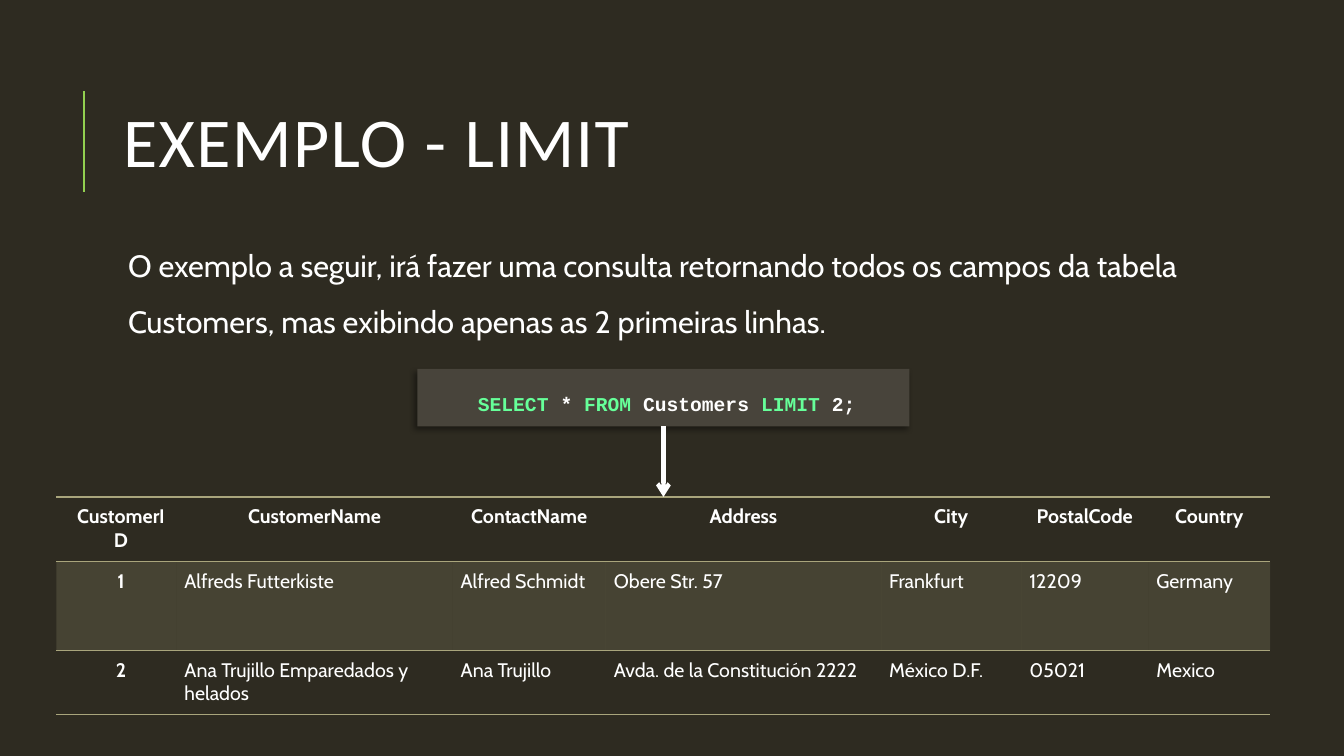
from dataclasses import dataclass

from lxml.etree import SubElement
from pptx import Presentation
from pptx.dml.color import RGBColor
from pptx.enum.shapes import MSO_CONNECTOR, MSO_SHAPE
from pptx.enum.text import MSO_ANCHOR, MSO_AUTO_SIZE, PP_ALIGN
from pptx.oxml import parse_xml
from pptx.oxml.ns import nsdecls, qn
from pptx.util import Emu, Pt

EMU_PER_PX = 9144
WHITE, GREEN, LIME, OLIVE = "FFFFFF", "66FF99", "92D050", "A9A57C"
NO_STYLE = "{2D5ABB26-0587-4C30-8999-92F81FD0307C}"


@dataclass
class Box:
    left: int
    top: int
    width: int
    height: int

    def emu(self) -> list:
        return [px(n) for n in (self.left, self.top, self.width, self.height)]


@dataclass
class Run:
    text: str
    color: str = WHITE


TITLE = Box(112, 64, 1063, 164)
BODY = Box(112, 222, 1063, 157)
QUERY = Box(414, 366, 488, 57)
TABLE = Box(56, 493, 1204, 216)
COLUMN_WIDTHS = [119, 274, 152, 273, 139, 126, 121]
ROW_HEIGHTS = [64, 88, 64]
CUSTOMERS = [
    ["CustomerID", "CustomerName", "ContactName", "Address", "City", "PostalCode", "Country"],
    ["1", "Alfreds Futterkiste", "Alfred Schmidt", "Obere Str. 57", "Frankfurt", "12209", "Germany"],
    ["2", "Ana Trujillo Emparedados y helados", "Ana Trujillo",
     "Avda. de la Constitución 2222", "México D.F.", "05021", "Mexico"],
]
QUERY_RUNS = [
    Run("SELECT ", GREEN), Run("*"), Run(" FROM ", GREEN),
    Run("Customers"), Run(" LIMIT ", GREEN), Run("2;"),
]
BODY_TEXT = ("O exemplo a seguir, irá fazer uma consulta retornando todos os campos "
             "da tabela Customers, mas exibindo apenas as 2 primeiras linhas.")


def px(value: int) -> Emu:
    return Emu(value * EMU_PER_PX)


def rgb(color: str) -> RGBColor:
    return RGBColor.from_string(color)


def apply(target, **values) -> None:
    for name, value in values.items():
        setattr(target, name, value)


def write(paragraph, runs: list, font: str, size: int, bold: bool = False, **layout) -> None:
    apply(paragraph, **layout)
    for item in runs:
        run = paragraph.add_run()
        run.text = item.text
        apply(run.font, name=font, size=Pt(size), bold=bold)
        run.font.color.rgb = rgb(item.color)


def add_title(slide) -> None:
    title = slide.shapes.title
    apply(title, **dict(zip(("left", "top", "width", "height"), TITLE.emu())))
    frame = title.text_frame
    apply(frame, word_wrap=True, auto_size=MSO_AUTO_SIZE.NONE, vertical_anchor=MSO_ANCHOR.MIDDLE)
    write(frame.paragraphs[0], [Run("EXEMPLO - LIMIT")], "Calibri", 50,
          alignment=PP_ALIGN.LEFT, line_spacing=0.8)
    frame.paragraphs[0].runs[0].font._element.set("spc", "100")


def add_body(slide) -> None:
    frame = slide.shapes.add_textbox(*BODY.emu()).text_frame
    apply(frame, word_wrap=True, margin_left=px(15), margin_right=px(5),
          margin_top=px(5), margin_bottom=px(5))
    write(frame.paragraphs[0], [Run(BODY_TEXT)], "Cabin", 22,
          line_spacing=1.5, space_before=Pt(12), space_after=Pt(2))


def add_query(slide):
    shape = slide.shapes.add_shape(MSO_SHAPE.RECTANGLE, *QUERY.emu())
    shape.fill.solid()
    shape.fill.fore_color.rgb = rgb("48443B")
    shape.line.fill.background()
    shape.shadow.inherit = False
    effects = shape._element.spPr.find(qn("a:effectLst"))
    effects.append(parse_xml(
        f'<a:outerShdw {nsdecls("a")} blurRad="{Pt(4)}" dist="{Pt(3)}" dir="8100000" '
        'algn="tr" rotWithShape="0"><a:srgbClr val="000000"><a:alpha val="40000"/>'
        '</a:srgbClr></a:outerShdw>'))
    frame = shape.text_frame
    apply(frame, word_wrap=True, vertical_anchor=MSO_ANCHOR.MIDDLE, margin_left=px(60))
    write(frame.paragraphs[0], QUERY_RUNS, "Courier New", 14, True,
          alignment=PP_ALIGN.LEFT, line_spacing=1.5)
    return shape


def add_line(slide, start: tuple, end: tuple, color: str, width: float):
    line = slide.shapes.add_connector(
        MSO_CONNECTOR.STRAIGHT, *[px(n) for n in (*start, *end)])
    line.line.color.rgb = rgb(color)
    line.line.width = Pt(width)
    SubElement(line._element.spPr, qn("a:effectLst"))
    return line


def add_arrow(slide, query) -> None:
    center = QUERY.left + QUERY.width // 2
    arrow = add_line(slide, (center, QUERY.top + QUERY.height), (center, TABLE.top), WHITE, 3)
    arrow.begin_connect(query, 2)
    SubElement(arrow.line._get_or_add_ln(), qn("a:tailEnd"), type="arrow")


def add_borders(cell, sides: list) -> None:
    for index, side in enumerate(sides):
        cell._tc.get_or_add_tcPr().insert(index, parse_xml(
            f'<a:{side} {nsdecls("a")} w="{Pt(1)}"><a:solidFill>'
            f'<a:srgbClr val="{OLIVE}"/></a:solidFill></a:{side}>'))


def fill_cell(cell, row: int, column: int) -> None:
    apply(cell, margin_left=px(17 if column == 0 else 8), margin_right=px(8),
          margin_top=px(8), margin_bottom=px(8))
    heading = row == 0 or column == 0
    write(cell.text_frame.paragraphs[0], [Run(CUSTOMERS[row][column])], "Cabin", 14, heading,
          alignment=PP_ALIGN.CENTER if heading else PP_ALIGN.LEFT)
    if row == 1:
        cell.fill.solid()
        cell.fill.fore_color.rgb = rgb(OLIVE)
        color = cell._tc.tcPr.find(".//" + qn("a:srgbClr"))
        SubElement(color, qn("a:alpha"), val="20000")
    else:
        cell.fill.background()
    add_borders(cell, [["lnT", "lnB"], ["lnT"], ["lnB"]][row])


def add_customers(slide) -> None:
    table = slide.shapes.add_table(len(CUSTOMERS), len(COLUMN_WIDTHS), *TABLE.emu()).table
    apply(table, first_row=False, horz_banding=False)
    table._tbl.tblPr.find(qn("a:tableStyleId")).text = NO_STYLE
    for column, width in zip(table.columns, COLUMN_WIDTHS):
        column.width = px(width)
    for row, height in zip(table.rows, ROW_HEIGHTS):
        row.height = px(height)
    for row, values in enumerate(CUSTOMERS):
        for column in range(len(values)):
            fill_cell(table.cell(row, column), row, column)


def main() -> None:
    presentation = Presentation()
    apply(presentation, slide_width=px(1333), slide_height=px(750))
    slide = presentation.slides.add_slide(presentation.slide_layouts[5])
    slide.background.fill.solid()
    slide.background.fill.fore_color.rgb = rgb("2E2B21")
    add_line(slide, (83, 190), (83, 90), LIME, 1.5)
    add_title(slide)
    query = add_query(slide)
    add_customers(slide)
    add_body(slide)
    add_arrow(slide, query)
    presentation.save("out.pptx")


if __name__ == "__main__":
    main()
